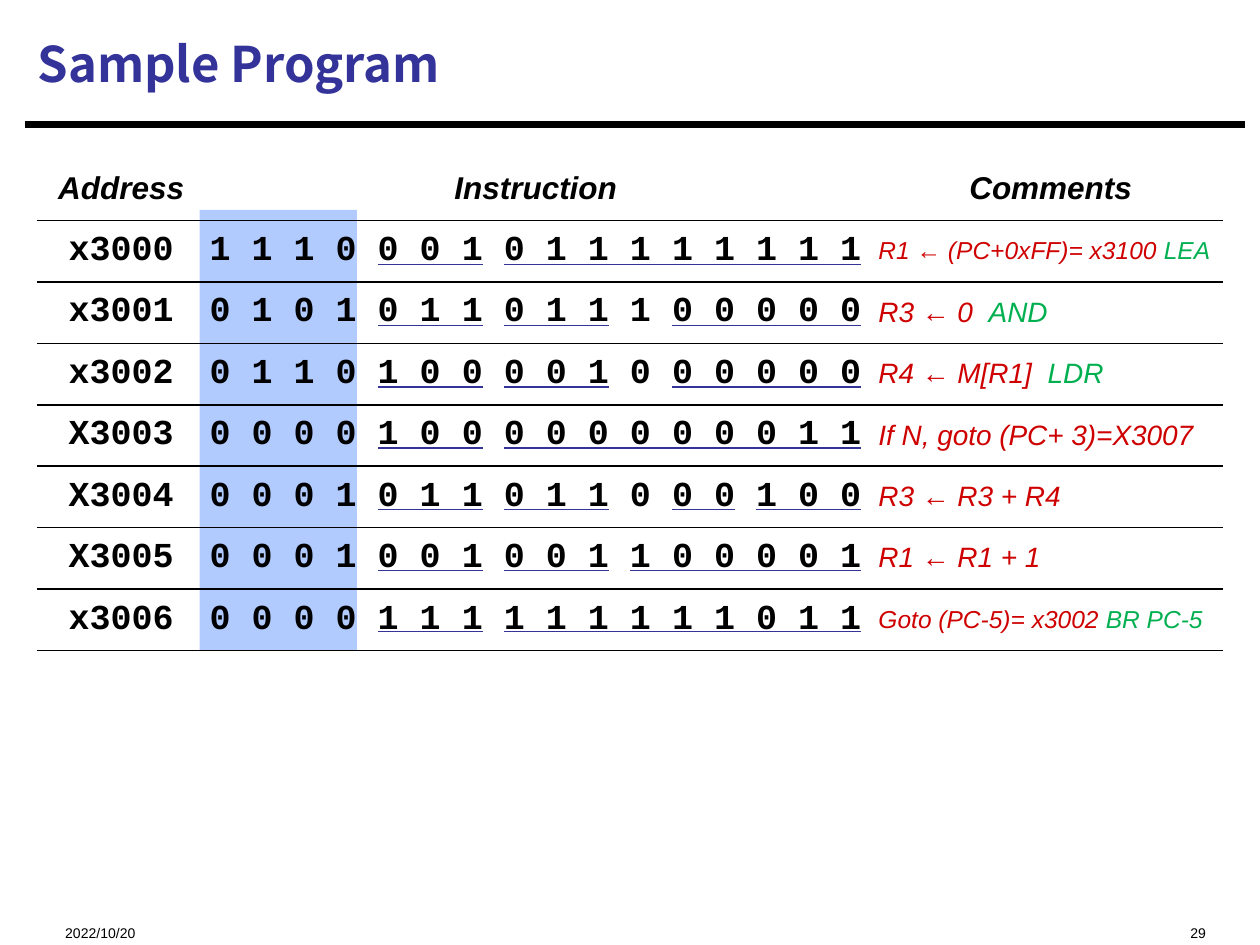
"""Build the Sample Program slide: a table of machine instructions with underlined bit fields."""
from pptx import Presentation
from pptx.dml.color import RGBColor
from pptx.enum.shapes import MSO_CONNECTOR, MSO_SHAPE
from pptx.enum.text import MSO_ANCHOR, PP_ALIGN
from pptx.oxml import parse_xml
from pptx.oxml.ns import nsdecls, qn
from pptx.util import Pt
from lxml.etree import SubElement

BLACK = RGBColor(0x00, 0x00, 0x00)
NAVY = RGBColor(0x33, 0x33, 0x99)
OPCODE_BLUE = RGBColor(0x66, 0x99, 0xFF)
RED = RGBColor(0xCE, 0x00, 0x00)
GREEN = RGBColor(0x00, 0xB0, 0x50)

HEADINGS = ("Address", "Instruction", "Comments")
# address, bits, (comment, mnemonic), comment size, underlined fields as first and last bit
PROGRAM = [
    ("x3000", "1110001011111111", ("R1 ← (PC+0xFF)= x3100 ", "LEA"), 14, [(4, 6), (7, 15)]),
    ("x3001", "0101011011100000", ("R3 ← 0  ", "AND"), 16, [(4, 6), (7, 9), (11, 15)]),
    ("x3002", "0110100001000000", ("R4 ← M[R1]  ", "LDR"), 16, [(4, 6), (7, 9), (11, 15)]),
    ("X3003", "0000100000000011", ("If N, goto (PC+ 3)=X3007",), 16, [(4, 6), (7, 15)]),
    ("X3004", "0001011011000100", ("R3 ← R3 + R4",), 16, [(4, 6), (7, 9), (11, 12), (13, 15)]),
    ("X3005", "0001001001100001", ("R1 ← R1 + 1",), 16, [(4, 6), (7, 9), (10, 15)]),
    ("x3006", "0000111111111011", ("Goto (PC-5)= x3002 ", "BR PC-5"), 14, [(4, 6), (7, 15)]),
]

TITLE = {"name": "Noto Sans CJK SC", "size": Pt(28), "bold": True}
FOOTER = {"name": "Arial", "size": Pt(8)}
HEADING = {"name": "Arial", "size": Pt(18), "bold": True, "italic": True}
CODE = {"name": "Courier New", "size": Pt(20), "bold": True, "italic": False}
COMMENT = {"name": "Arial", "bold": False, "italic": True}

COLUMN_WIDTHS = (89.3, 384.5, 204)
TABLE_LEFT, TABLE_TOP, ROW_HEIGHT = 21, 90, 35.1
FIRST_BIT, BIT_PITCH, BIT_WIDTH = 120, 24, 12
FIRST_UNDERLINE, UNDERLINE_PITCH = 151.2, 34.95


def add_run(paragraph, text, style, color):
    run = paragraph.add_run()
    run.text = text
    for attribute, value in style.items():
        setattr(run.font, attribute, value)
    run.font.color.rgb = color


def add_label(slide, box, text, style, color, align, anchor, top_margin):
    frame = slide.shapes.add_textbox(*map(Pt, box)).text_frame
    frame.word_wrap = True
    frame.vertical_anchor = anchor
    frame.margin_top = Pt(top_margin)
    frame.paragraphs[0].alignment = align
    add_run(frame.paragraphs[0], text, style, color)


def add_rule(slide, left, right, y, color, width):
    rule = slide.shapes.add_connector(MSO_CONNECTOR.STRAIGHT, Pt(left), Pt(y), Pt(right), Pt(y))
    rule.line.color.rgb = color
    rule.line.width = Pt(width)
    SubElement(rule._element.spPr, qn("a:effectLst"))


def fill_cell(cell, runs, style, colors, align, vertical_margin):
    cell.vertical_anchor = MSO_ANCHOR.MIDDLE
    cell.margin_left, cell.margin_right = Pt(7.2), 0
    cell.margin_top = cell.margin_bottom = Pt(vertical_margin)
    paragraph = cell.text_frame.paragraphs[0]
    paragraph.alignment = align
    for text, color in zip(runs, colors):
        add_run(paragraph, text, style, color)
    properties = cell._tc.get_or_add_tcPr()
    for side in ("lnL", "lnR", "lnT"):
        properties.append(parse_xml(f'<a:{side} {nsdecls("a")} w="0"><a:noFill/></a:{side}>'))
    properties.append(parse_xml(
        f'<a:lnB {nsdecls("a")} w="{Pt(1)}"><a:solidFill><a:srgbClr val="{BLACK}"/>'
        '</a:solidFill></a:lnB>'))
    cell.fill.background()


def add_opcode_band(slide):
    band = slide.shapes.add_shape(MSO_SHAPE.RECTANGLE, Pt(114), Pt(120), Pt(90), Pt(252))
    band.shadow.inherit = False
    band.line.fill.background()
    band.fill.solid()
    band.fill.fore_color.rgb = OPCODE_BLUE
    SubElement(band._element.spPr.find(".//" + qn("a:srgbClr")), qn("a:alpha"), val="50000")


def add_program_table(slide):
    row_count = len(PROGRAM) + 1
    table = slide.shapes.add_table(
        row_count, len(HEADINGS), Pt(TABLE_LEFT), Pt(TABLE_TOP),
        Pt(sum(COLUMN_WIDTHS)), Pt(ROW_HEIGHT * row_count)).table
    table.first_row = table.horz_banding = False
    for column, width in zip(table.columns, COLUMN_WIDTHS):
        column.width = Pt(width)
    for row in table.rows:
        row.height = Pt(ROW_HEIGHT)
    for column, heading in enumerate(HEADINGS):
        fill_cell(table.cell(0, column), [heading], HEADING, [BLACK], PP_ALIGN.CENTER, 7.2)
    for row, (address, bits, comment, size, _) in enumerate(PROGRAM, 1):
        for column, code in enumerate((address, " ".join(bits))):
            fill_cell(table.cell(row, column), [code], CODE, [BLACK], PP_ALIGN.CENTER, 0)
        fill_cell(table.cell(row, 2), comment, {**COMMENT, "size": Pt(size)},
                  [RED, GREEN], PP_ALIGN.LEFT, 0)


def underline_fields(slide):
    for row, (*_, fields) in enumerate(PROGRAM):
        y = FIRST_UNDERLINE + row * UNDERLINE_PITCH
        for first, last in fields:
            add_rule(slide, FIRST_BIT + first * BIT_PITCH,
                     FIRST_BIT + last * BIT_PITCH + BIT_WIDTH, y, NAVY, 0.75)


def main():
    deck = Presentation()
    deck.slide_width, deck.slide_height = Pt(720), Pt(540)
    slide = deck.slides.add_slide(deck.slide_layouts[6])
    add_rule(slide, 14.4, 711.4, 71.3, BLACK, 3.75)
    add_label(slide, (30.2, 514.8, 180, 19.4), "2022/10/20", FOOTER, BLACK,
              PP_ALIGN.LEFT, MSO_ANCHOR.TOP, 13.5)
    add_label(slide, (480.2, 514.8, 216, 19.4), "29", FOOTER, BLACK,
              PP_ALIGN.RIGHT, MSO_ANCHOR.TOP, 13.5)
    add_opcode_band(slide)
    add_label(slide, (14.4, 5.8, 696.2, 60.5), "Sample Program", TITLE, NAVY,
              PP_ALIGN.LEFT, MSO_ANCHOR.MIDDLE, 3.6)
    add_program_table(slide)
    underline_fields(slide)
    deck.save("out.pptx")


if __name__ == "__main__":
    main()
